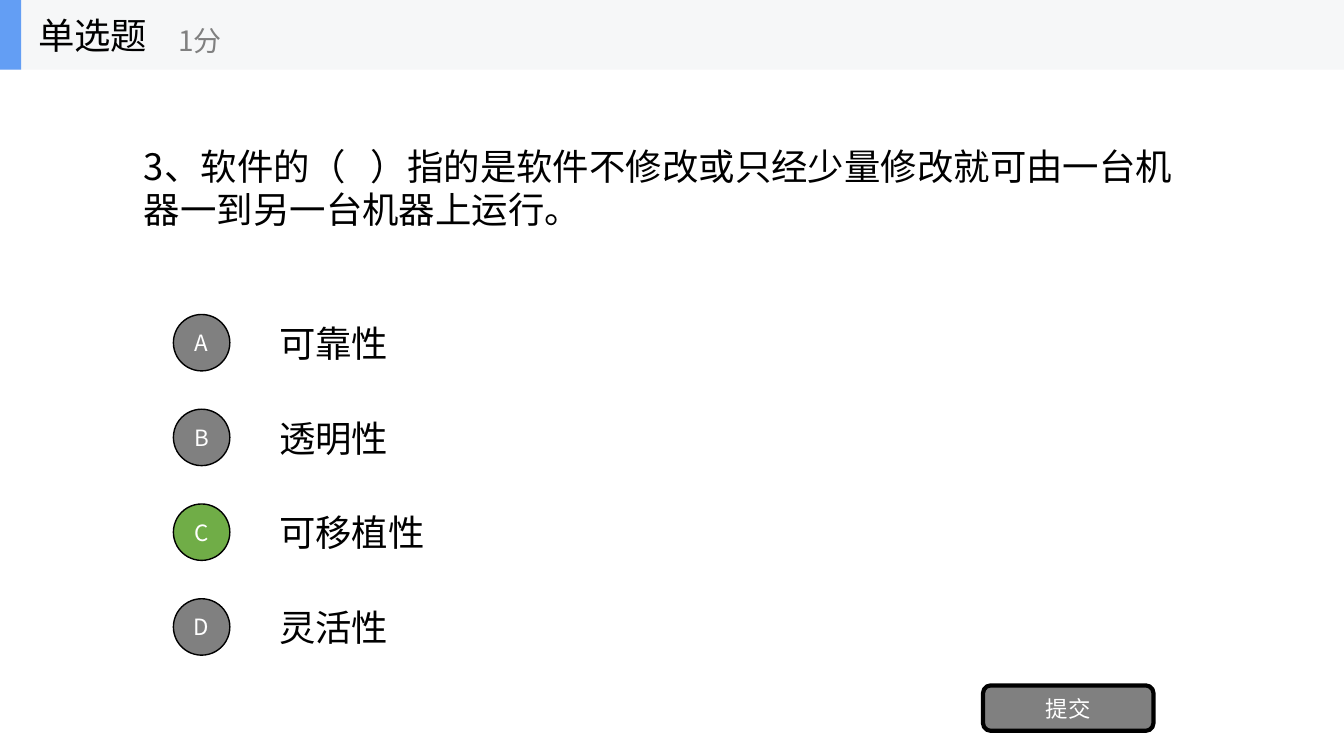
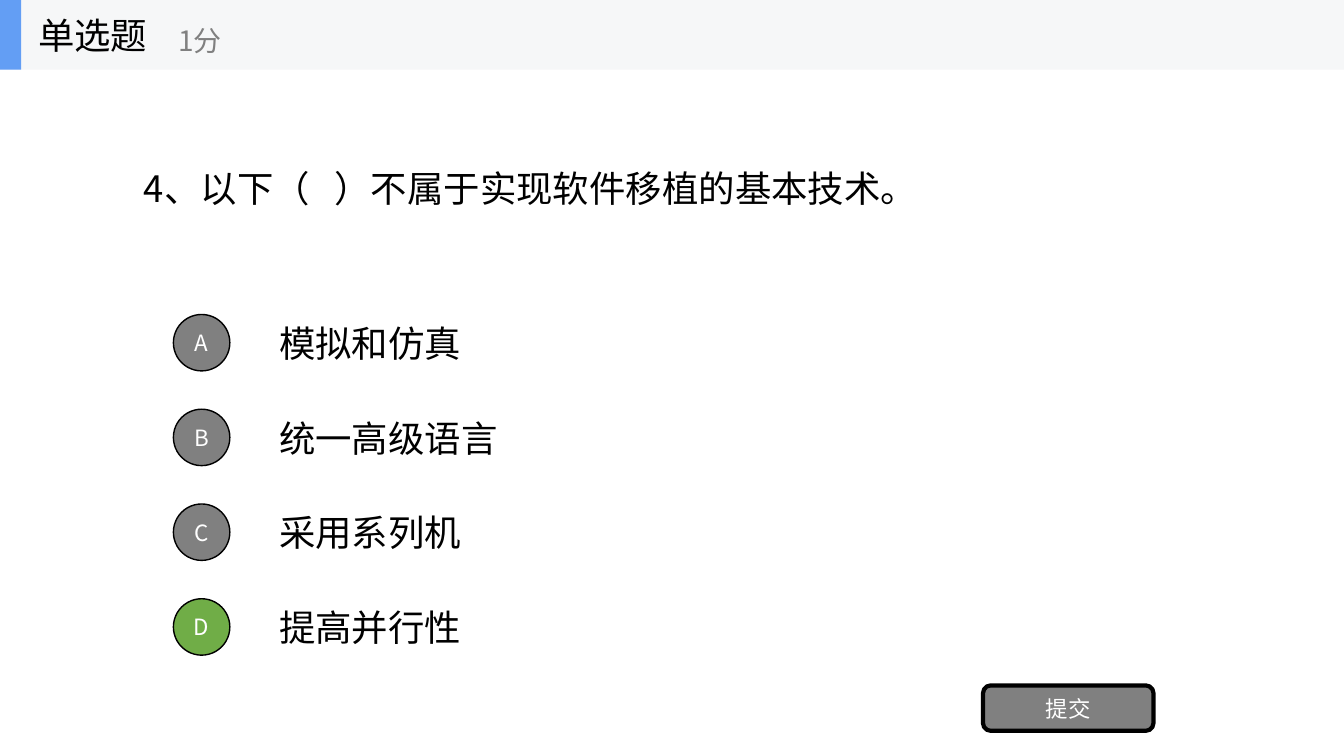
from dataclasses import dataclass

from lxml.etree import SubElement
from pptx import Presentation
from pptx.dml.color import RGBColor
from pptx.enum.shapes import MSO_SHAPE as Shape
from pptx.enum.text import MSO_ANCHOR as Anchor, PP_ALIGN as Align
from pptx.oxml.ns import qn
from pptx.shapes.base import BaseShape
from pptx.slide import Slide
from pptx.util import Inches, Pt

# Shared style
FONT = "Noto Sans CJK SC"
BLACK, WHITE, GRAY = "000000", "FFFFFF", "808080"
GREEN, BLUE, BAND = "70AD47", "639EF4", "F6F7F8"
TEXT_SIZE, SCORE_SIZE, BUTTON_SIZE = 26, 20, 16

# Shared layout, in inches
SLIDE_W, SLIDE_H = 13.33, 7.5
BAND_H = 0.69
OPTION_TOP, OPTION_H, OPTION_PITCH = 3.05, 0.7, 0.94
CIRCLE = 0.56

Box = tuple[float, float, float, float]


@dataclass(frozen=True)
class Question:
    text: str
    options: tuple[str, ...]
    answer: str


QUESTIONS = (
    Question(
        "3、软件的（   ）指的是软件不修改或只经少量修改就可由一台机器一到另一台机器上运行。",
        ("可靠性", "透明性", "可移植性", "灵活性"),
        "C",
    ),
    Question(
        "4、以下（   ）不属于实现软件移植的基本技术。",
        ("模拟和仿真", "统一高级语言", "采用系列机", "提高并行性"),
        "D",
    ),
)


def rgb(color: str) -> RGBColor:
    return RGBColor.from_string(color)


def set_text(s: BaseShape, text: str, size: int, color: str, align: Align = Align.LEFT) -> None:
    tf = s.text_frame
    tf.text = text
    tf.word_wrap = True
    tf.vertical_anchor = Anchor.MIDDLE
    p = tf.paragraphs[0]
    p.alignment = align
    r = p.runs[0]
    r.font.name = FONT
    r.font.size = Pt(size)
    r.font.color.rgb = rgb(color)
    SubElement(r.font._element, qn("a:ea")).set("typeface", FONT)


def add_text(shapes, box: Box, text: str, size: int = TEXT_SIZE, color: str = BLACK) -> None:
    set_text(shapes.add_textbox(*map(Inches, box)), text, size, color)


def add_filled(shapes, kind: Shape, box: Box, fill: str, line_width: float = 0) -> BaseShape:
    s = shapes.add_shape(kind, *map(Inches, box))
    s.shadow.inherit = False
    s.fill.solid()
    s.fill.fore_color.rgb = rgb(fill)
    if line_width:
        s.line.color.rgb = rgb(BLACK)
        s.line.width = Pt(line_width)
    else:
        s.line.fill.background()
    return s


def add_button(slide: Slide, kind: Shape, box: Box, label: str, fill: str, line_width: float) -> None:
    s = add_filled(slide.shapes, kind, box, fill, line_width)
    set_text(s, label, BUTTON_SIZE, WHITE, Align.CENTER)
    tf = s.text_frame
    tf.margin_left = tf.margin_right = tf.margin_top = tf.margin_bottom = 0


def add_header(slide: Slide) -> None:
    shapes = slide.shapes.add_group_shape().shapes
    add_filled(shapes, Shape.RECTANGLE, (0, 0, SLIDE_W, BAND_H), BAND)
    add_filled(shapes, Shape.RECTANGLE, (0, 0, 0.21, BAND_H), BLUE)
    add_text(shapes, (0.28, 0, 2.08, BAND_H), "单选题")
    add_text(shapes, (1.67, 0.12, 2.5, 0.56), "1分", SCORE_SIZE, GRAY)


def add_question(prs: Presentation, question: Question) -> None:
    slide = prs.slides.add_slide(prs.slide_layouts[6])
    add_header(slide)
    add_text(slide.shapes, (1.33, BAND_H, 10.67, 2.34), question.text)

    # Options, with the right answer in green
    for i, (letter, option) in enumerate(zip("ABCD", question.options)):
        top = OPTION_TOP + i * OPTION_PITCH
        add_text(slide.shapes, (2.67, top, 9.33, OPTION_H), option)
        circle = (1.72, top + (OPTION_H - CIRCLE) / 2, CIRCLE, CIRCLE)
        fill = GREEN if letter == question.answer else GRAY
        add_button(slide, Shape.OVAL, circle, letter, fill, 1)

    # Submit button
    add_button(slide, Shape.ROUNDED_RECTANGLE, (9.75, 6.8, 1.69, 0.45), "提交", GRAY, 3)


def main() -> None:
    prs = Presentation()
    prs.slide_width, prs.slide_height = Inches(SLIDE_W), Inches(SLIDE_H)
    for question in QUESTIONS:
        add_question(prs, question)
    prs.save("out.pptx")


if __name__ == "__main__":
    main()
